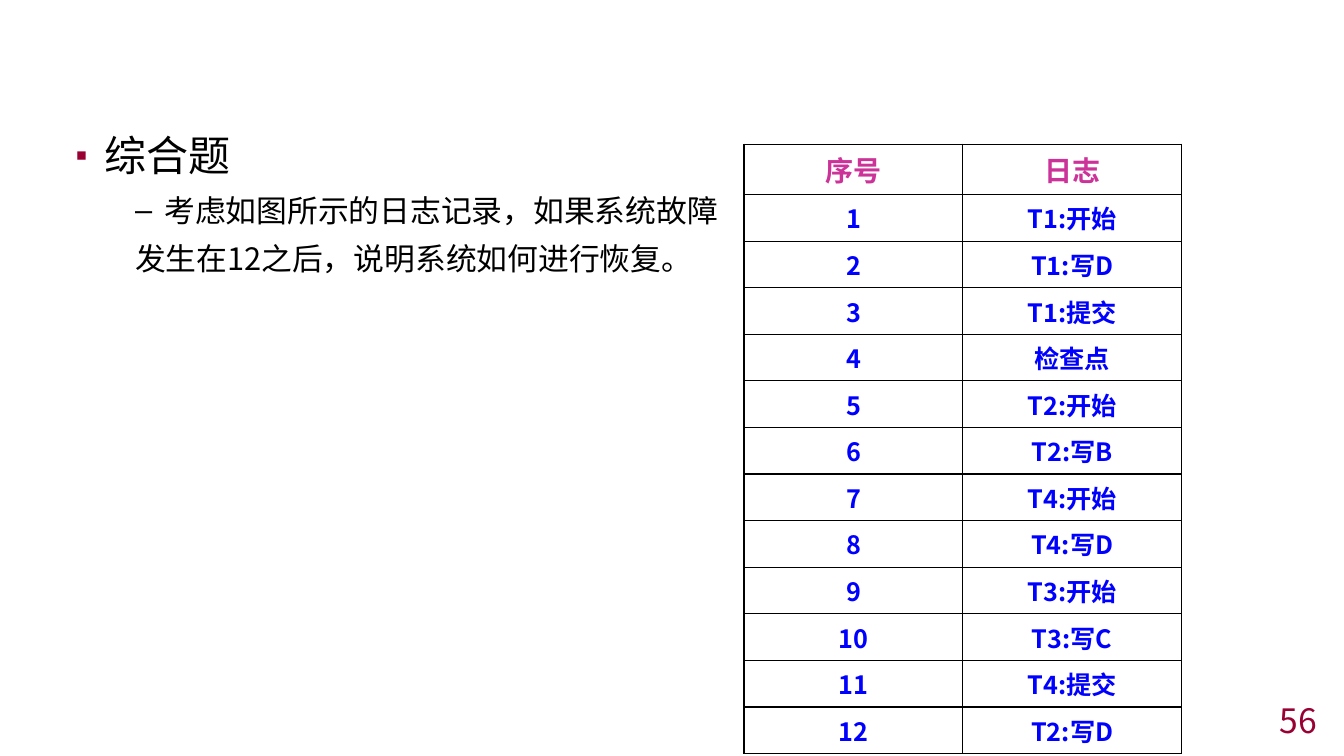
"""Build the log-recovery exercise slide: a bulleted question beside a table of log records."""
from dataclasses import dataclass

from lxml.etree import SubElement
from pptx import Presentation
from pptx.dml.color import RGBColor
from pptx.enum.text import MSO_ANCHOR, MSO_AUTO_SIZE, PP_ALIGN
from pptx.oxml.ns import qn
from pptx.util import Pt

BODY = [
    {"text": "综合题", "level": 0, "size": "heading", "margin": 29, "indent": -29, "bullet": "▪"},
    {"text": "考虑如图所示的日志记录，如果系统故障", "level": 1, "size": "detail",
     "margin": 88, "indent": -29, "bullet": "–"},
    {"text": "发生在12之后，说明系统如何进行恢复。", "level": 1, "size": "detail",
     "margin": 59, "indent": 0, "bullet": None},
]
HEADER = ("序号", "日志")
LOG = ["T1:开始", "T1:写D", "T1:提交", "检查点", "T2:开始", "T2:写B",
       "T4:开始", "T4:写D", "T3:开始", "T3:写C", "T4:提交", "T2:写D"]
PAGE = "56"

PX = 9144
SLIDE = (1333, 750)
BODY_BOX = (65, 117, 1204, 598)
PAGE_BOX = (1033, 699, 283, 31)
TABLE_AT = (738, 143)
COL_W, HEADER_H, LOG_H = 217, 50, 555


@dataclass(frozen=True)
class Theme:
    font: str = "Noto Sans CJK SC"
    bullet_font: str = "Arial"
    ink: str = "000000"
    accent: str = "990033"
    header: str = "CC3399"
    record: str = "0000FF"
    heading: int = 30
    detail: int = 22
    page: int = 24
    table_head: int = 20
    table_body: int = 18
    border: int = 1


THEME = Theme()


def px(*values):
    return [v * PX for v in values]


def add_xml(parent, tag, **attrs):
    return SubElement(parent, qn(tag), {k: str(v) for k, v in attrs.items()})


def add_text(p, text, size, color, bold=False):
    r = p.add_run()
    r.text = text
    for name, value in {"size": Pt(size), "bold": bold, "name": THEME.font}.items():
        setattr(r.font, name, value)
    r.font.color.rgb = RGBColor.from_string(color)
    add_xml(r.font._element, "a:ea", typeface=THEME.font)


def format_item(p, item):
    p.level = item["level"]
    p.line_spacing = 1.14
    pPr = p._p.get_or_add_pPr()
    pPr.set("marL", str(item["margin"] * PX))
    pPr.set("indent", str(item["indent"] * PX))
    add_xml(add_xml(pPr, "a:spcBef"), "a:spcPct", val=20000)
    if item["bullet"] is None:
        add_xml(pPr, "a:buNone")
        return
    if item["level"] == 0:
        add_xml(add_xml(pPr, "a:buClr"), "a:srgbClr", val=THEME.accent)
        add_xml(pPr, "a:buSzPct", val=80000)
    add_xml(pPr, "a:buFont", typeface=THEME.bullet_font)
    add_xml(pPr, "a:buChar", char=item["bullet"])


def add_body(s):
    sp = s.placeholders[1]
    for name, value in zip(("left", "top", "width", "height"), px(*BODY_BOX)):
        setattr(sp, name, value)
    tf = sp.text_frame
    tf.auto_size = MSO_AUTO_SIZE.NONE
    for i, item in enumerate(BODY):
        p = tf.add_paragraph() if i else tf.paragraphs[0]
        format_item(p, item)
        add_text(p, item["text"], getattr(THEME, item["size"]), THEME.ink)


def add_page_number(s):
    tf = s.shapes.add_textbox(*px(*PAGE_BOX)).text_frame
    tf.word_wrap = True
    tf.vertical_anchor = MSO_ANCHOR.MIDDLE
    p = tf.paragraphs[0]
    p.alignment = PP_ALIGN.RIGHT
    add_text(p, PAGE, THEME.page, THEME.accent)


def format_cell(cell):
    tcPr = cell._tc.get_or_add_tcPr()
    for side in "LRTB":
        ln = add_xml(tcPr, f"a:ln{side}", w=Pt(THEME.border))
        add_xml(add_xml(ln, "a:solidFill"), "a:srgbClr", val=THEME.ink)
    cell.fill.background()


def add_log_table(s):
    rows = [HEADER] + [(str(n), entry) for n, entry in enumerate(LOG, 1)]
    size = (COL_W * len(HEADER), HEADER_H + LOG_H)
    table = s.shapes.add_table(len(rows), len(HEADER), *px(*TABLE_AT, *size)).table
    table.first_row = table.horz_banding = False
    for i, row in enumerate(rows):
        table.rows[i].height = LOG_H * PX // len(LOG) if i else HEADER_H * PX
        style = (THEME.table_body, THEME.record) if i else (THEME.table_head, THEME.header)
        for j, text in enumerate(row):
            cell = table.cell(i, j)
            format_cell(cell)
            p = cell.text_frame.paragraphs[0]
            p.alignment = PP_ALIGN.CENTER
            add_text(p, text, *style, bold=True)


def main():
    prs = Presentation()
    prs.slide_width, prs.slide_height = px(*SLIDE)
    s = prs.slides.add_slide(prs.slide_layouts[1])
    title = s.shapes.title._element
    title.getparent().remove(title)
    add_body(s)
    add_page_number(s)
    add_log_table(s)
    prs.save("out.pptx")


if __name__ == "__main__":
    main()
